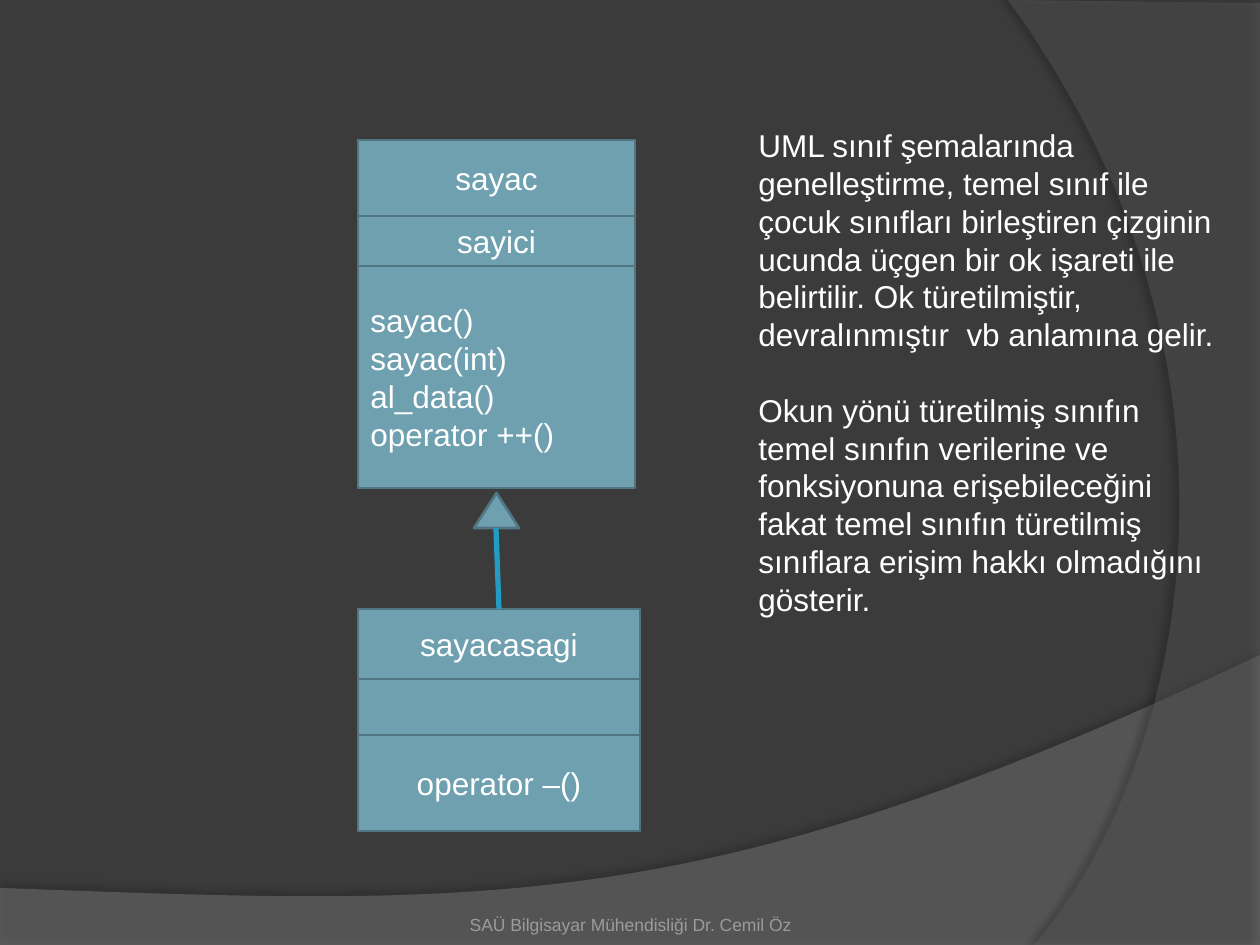
from lxml import etree
from pptx import Presentation
from pptx.dml.color import RGBColor
from pptx.enum.shapes import MSO_CONNECTOR, MSO_SHAPE
from pptx.enum.text import MSO_ANCHOR, PP_ALIGN
from pptx.oxml import parse_xml
from pptx.oxml.ns import nsdecls, qn
from pptx.util import Pt

RECT, TRIANGLE = MSO_SHAPE.RECTANGLE, MSO_SHAPE.ISOSCELES_TRIANGLE
LEFT, CENTER = PP_ALIGN.LEFT, PP_ALIGN.CENTER
TOP, MIDDLE, BOTTOM = MSO_ANCHOR.TOP, MSO_ANCHOR.MIDDLE, MSO_ANCHOR.BOTTOM
SCALE = 914400 / 126
STEPS = 60
COLORS = {name: RGBColor.from_string(value) for name, value in {
    "bg": "3B3B3B", "wave": "7F7F7F", "arc": "5E5E5E", "box": "6EA0B0",
    "edge": "517682", "link": "239BC2", "text": "FFFFFF", "footer": "9D9B9A",
}.items()}


def px(*values):
    return [round(v * SCALE) for v in values]


def write(sp, lines, align, anchor, size=18, color="text", gap=0):
    tf = sp.text_frame
    tf.word_wrap = True
    tf.vertical_anchor = anchor
    for i, line in enumerate(lines):
        p = tf.paragraphs[0] if i == 0 else tf.add_paragraph()
        p.alignment = align
        if i and gap:
            p.space_before = Pt(gap)
        r = p.add_run()
        r.text = line
        for key, value in {"name": "Arial", "size": Pt(size)}.items():
            setattr(r.font, key, value)
        r.font.color.rgb = COLORS[color]


prs = Presentation()
prs.slide_width, prs.slide_height = px(1260, 945)
s = prs.slides.add_slide(prs.slide_layouts[6])
s.background.fill.solid()
s.background.fill.fore_color.rgb = COLORS["bg"]

swooshes = [
    ("wave", 45, [(0, 888), (0, 946), (1260, 946)],
     [(1260, 655), (704, 919), (493, 906), (0, 888)], (35, 4, 3.5, 270)),
    ("arc", 40, [(1260, 3), (1260, 945)],
     [(1034, 945), (1178, 780), (1283, 378), (1008, 0)], (45, 4, 4, 180)),
]
for color, alpha, corners, curve, (shade, blur, dist, angle) in swooshes:
    points = list(corners)
    for i in range(STEPS + 1):
        t = i / STEPS
        weights = ((1 - t) ** 3, 3 * t * (1 - t) ** 2, 3 * t * t * (1 - t), t ** 3)
        points.append([sum(w * c for w, c in zip(weights, axis)) for axis in zip(*curve)])
    builder = s.shapes.build_freeform(*px(*points[0]))
    builder.add_line_segments([px(*point) for point in points[1:]], close=True)
    sp = builder.convert_to_shape()
    sp.shadow.inherit = False
    sp.fill.solid()
    sp.fill.fore_color.rgb = COLORS[color]
    sp.line.fill.background()
    fill = sp._element.spPr.find(qn("a:solidFill"))
    etree.SubElement(fill[0], qn("a:alpha"), val=str(alpha * 1000))
    sp._element.spPr.find(qn("a:effectLst")).append(parse_xml(
        f'<a:outerShdw {nsdecls("a")} blurRad="{Pt(blur)}" dist="{Pt(dist)}" '
        f'dir="{angle * 60000}" algn="ctr" rotWithShape="0"><a:srgbClr val="000000">'
        f'<a:alpha val="{shade * 1000}"/></a:srgbClr></a:outerShdw>'))

footer = s.shapes.add_textbox(*px(431, 885, 399, 50))
for side in ("left", "right", "bottom"):
    setattr(footer.text_frame, f"margin_{side}", 0)
write(footer, ["SAÜ Bilgisayar Mühendisliği Dr. Cemil Öz"], CENTER, BOTTOM, 10, "footer")

classes = [
    (140, 277, 343, [
        (76, ["sayac"], CENTER),
        (50, ["sayici"], CENTER),
        (222, ["sayac()", "sayac(int)", "al_data()", "operator ++()"], LEFT)]),
    (609, 282, 222, [
        (70, ["sayacasagi"], CENTER),
        (56, [], CENTER),
        (96, ["operator –()"], CENTER)]),
]
shapes = []
for top, width, height, sections in classes:
    shapes.append((RECT, (358, top, width, height), [], CENTER))
    for section_height, lines, align in sections:
        shapes.append((RECT, (358, top, width, section_height), lines, align))
        top += section_height
shapes.append((TRIANGLE, (474, 493, 45, 35), [], CENTER))

for kind, place, lines, align in shapes:
    sp = s.shapes.add_shape(kind, *px(*place))
    sp.shadow.inherit = False
    sp.fill.solid()
    sp.fill.fore_color.rgb = COLORS["box"]
    sp.line.color.rgb = COLORS["edge"]
    sp.line.width = Pt(1.5)
    write(sp, lines, align, MIDDLE)

link = s.shapes.add_connector(MSO_CONNECTOR.STRAIGHT, *px(499, 609, 496, 528))
link.line.color.rgb = COLORS["link"]
link.line.width = Pt(3)
etree.SubElement(link._element.spPr, qn("a:effectLst"))

notes = s.shapes.add_textbox(*px(746, 120, 483, 547))
write(notes, [
    "UML sınıf şemalarında genelleştirme, temel sınıf ile çocuk sınıfları "
    "birleştiren çizginin ucunda üçgen bir ok işareti ile belirtilir. "
    "Ok türetilmiştir, devralınmıştır  vb anlamına gelir.",
    "Okun yönü türetilmiş sınıfın temel sınıfın verilerine ve fonksiyonuna "
    "erişebileceğini fakat temel sınıfın türetilmiş sınıflara erişim hakkı "
    "olmadığını gösterir.",
], LEFT, TOP, gap=21.6)

prs.save("out.pptx")
